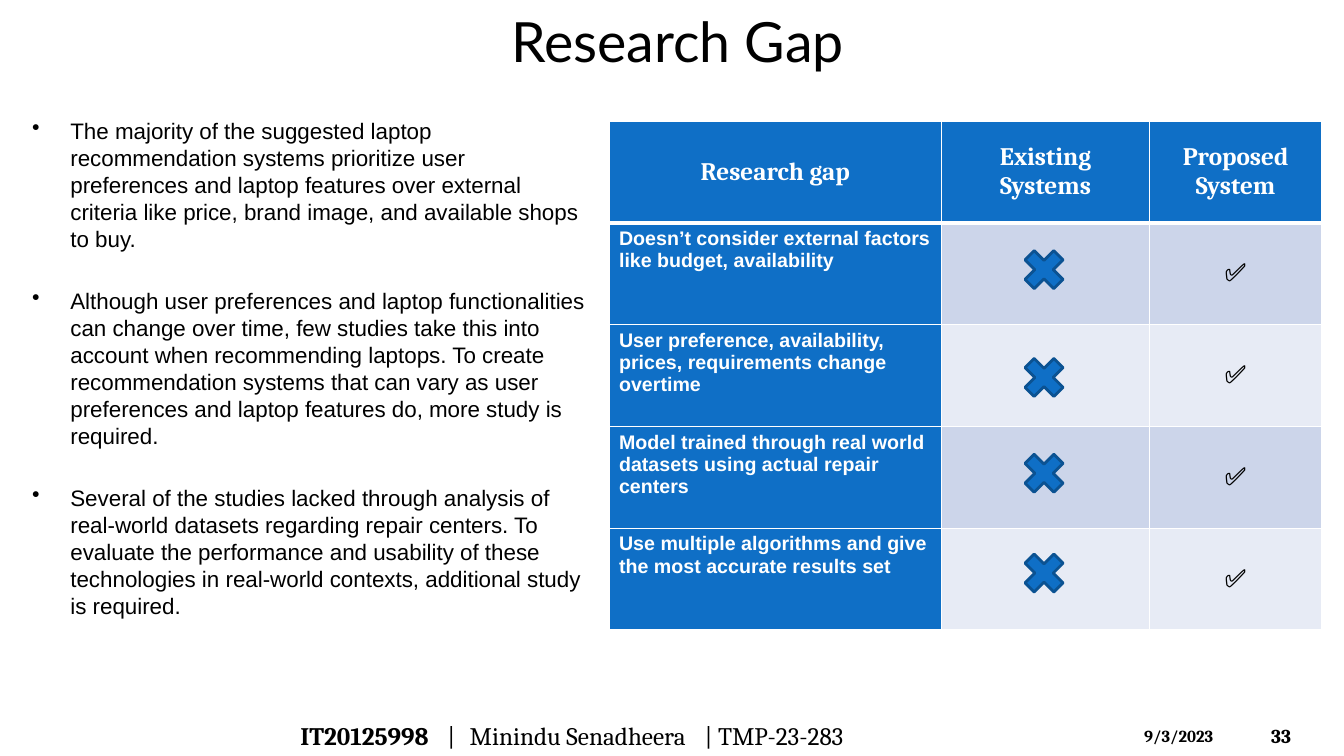
from lxml import etree
from pptx import Presentation
from pptx import util as u
from pptx.dml.color import RGBColor
from pptx.enum import shapes, text
from pptx.oxml import ns

PX = 9144  # 100 px to the inch
BLUE, WHITE, BLACK = "0F6FC6", "FFFFFF", "000000"
MID, TOP = text.MSO_ANCHOR.MIDDLE, text.MSO_ANCHOR.TOP
hue = RGBColor.from_string


def style(para, font, size, color=BLACK, bold=False):
    for run in para.runs:
        run.font.name, run.font.size = font, u.Pt(size)
        run.font.bold, run.font.color.rgb = bold, hue(color)


def frame(x, y, w, h, anchor):
    box = slide.shapes.add_textbox(x * PX, y * PX, w * PX, h * PX)
    box.text_frame.word_wrap = True
    box.text_frame.vertical_anchor = anchor
    return box.text_frame


deck = Presentation()
deck.slide_width, deck.slide_height = 1333 * PX, 750 * PX
slide = deck.slides.add_slide(deck.slide_layouts[6])

# Title
title = frame(33, 2, 1278, 76, MID)
title.text = "Research Gap"
title.paragraphs[0].alignment = text.PP_ALIGN.CENTER
style(title.paragraphs[0], "Lato", 39.6)

# Bulleted findings
points = [
    "The majority of the suggested laptop recommendation systems prioritize user "
    "preferences and laptop features over external criteria like price, brand image, "
    "and available shops to buy.",
    "Although user preferences and laptop functionalities can change over time, few "
    "studies take this into account when recommending laptops. To create recommendation "
    "systems that can vary as user preferences and laptop features do, more study is "
    "required.",
    "Several of the studies lacked through analysis of real-world datasets regarding "
    "repair centers. To evaluate the performance and usability of these technologies in "
    "real-world contexts, additional study is required.",
]
body = frame(22, 111, 570, 527, TOP)
body.text = "\n".join(points)
for i, para in enumerate(body.paragraphs):
    para.line_spacing = u.Pt(19.3)
    para.space_before = u.Pt(25 if i else 0)
    props = para._p.get_or_add_pPr()
    props.set("marL", str(38 * PX))
    props.set("indent", str(-38 * PX))
    etree.SubElement(props, ns.qn("a:buChar")).set("char", "•")
    style(para, "Arial", 16)

# Comparison table
rows = [
    ("Research gap", "Existing Systems", "Proposed System"),
    ("Doesn’t consider external factors like budget, availability", "", "✅"),
    ("User preference, availability, prices, requirements change overtime", "", "✅"),
    ("Model trained through real world datasets using actual repair centers", "", "✅"),
    ("Use multiple algorithms and give the most accurate results set", "", "✅"),
]
grid = slide.shapes.add_table(5, 3, 604 * PX, 120 * PX, 707 * PX, 505 * PX).table
for col, wide in zip(grid.columns, (330, 206, 171)):
    col.width = wide * PX
for r, row in enumerate(rows):
    grid.rows[r].height = 101 * PX
    for c, words in enumerate(row):
        cell = grid.cell(r, c)
        cell.text = words
        para = cell.text_frame.paragraphs[0]
        label = r > 0 and c == 0
        if label:
            style(para, "Arial", 14, WHITE, True)
        else:
            cell.vertical_anchor = MID
            para.alignment = text.PP_ALIGN.CENTER
            style(para, "Cambria", 18, BLACK if r else WHITE, r == 0)
        # White borders, thicker under the header; they precede the fill
        props = cell._tc.get_or_add_tcPr()
        for side in ("lnL", "lnR", "lnT", "lnB"):
            thick = (r, side) in ((0, "lnB"), (1, "lnT"))
            line = etree.SubElement(props, ns.qn("a:" + side))
            line.set("w", str(u.Pt(3 if thick else 1)))
            solid = etree.SubElement(line, ns.qn("a:solidFill"))
            etree.SubElement(solid, ns.qn("a:srgbClr")).set("val", WHITE)
        cell.fill.solid()
        band = "CCD5EA" if r % 2 else "E7EBF5"
        cell.fill.fore_color.rgb = hue(BLUE if r == 0 or label else band)

# Crosses for the existing systems
for y in (240, 347, 442, 541):
    cross = slide.shapes.add_shape(
        shapes.MSO_SHAPE.MATH_MULTIPLY, 1008 * PX, y * PX, 55 * PX, 55 * PX)
    cross.shadow.inherit = False
    cross.fill.solid()
    cross.fill.fore_color.rgb = hue(BLUE)
    cross.line.color.rgb = hue("0B5292")
    cross.line.width = u.Pt(2)

# Footer: author line on tab stops, date, slide number
para = frame(288, 710, 745, 40, MID).paragraphs[0]
tabs = etree.SubElement(para._p.get_or_add_pPr(), ns.qn("a:tabLst"))
for stop in (146, 168, 401):
    etree.SubElement(tabs, ns.qn("a:tab"), pos=str(stop * PX), algn="l")
for words in ("IT20125998", "\t|\tMinindu Senadheera\t| TMP-23-283"):
    para.add_run().text = words
style(para, "Cambria", 18)
para.runs[0].font.bold = True

for words, size, spot in (
    ("9/3/2023", 12, (1125, 715, 117, 30, TOP)),
    ("33", 14, (1251, 710, 74, 40, MID)),
):
    note = frame(*spot)
    note.text = words
    style(note.paragraphs[0], "Cambria", size, bold=True)

deck.save("out.pptx")
